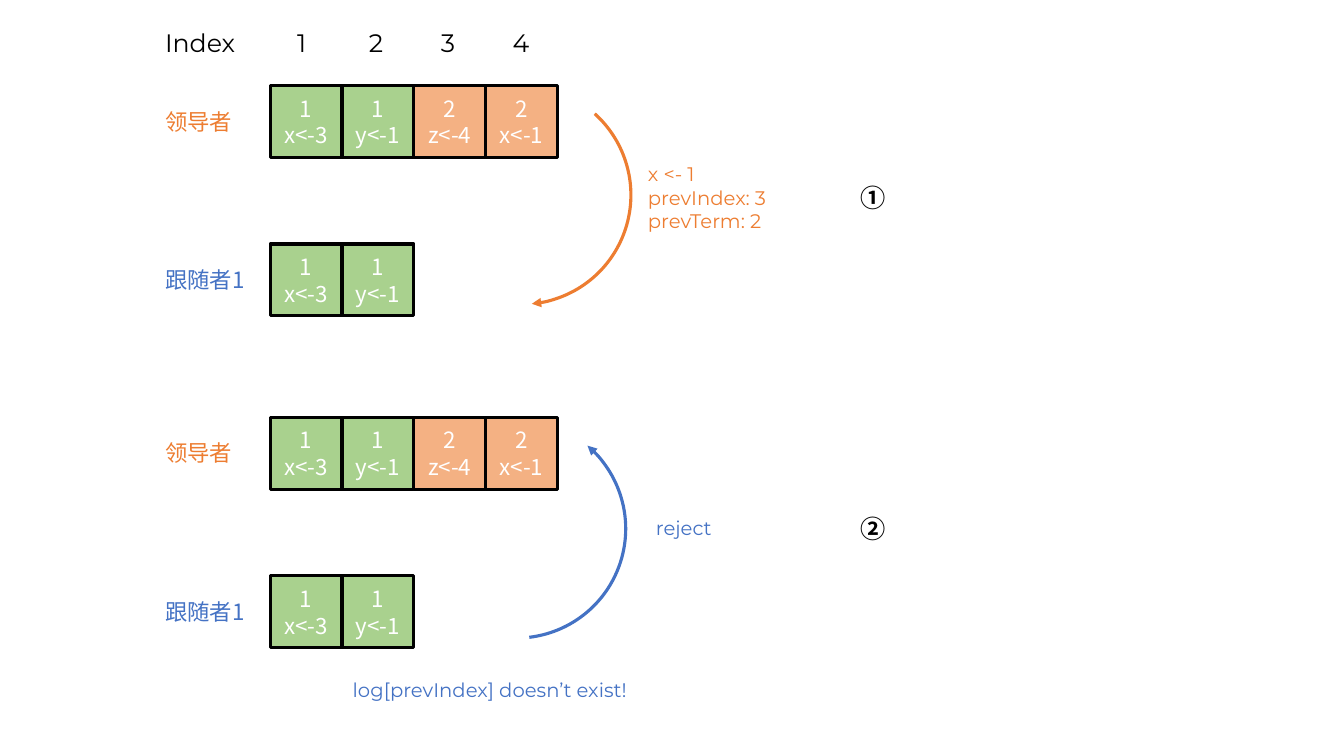
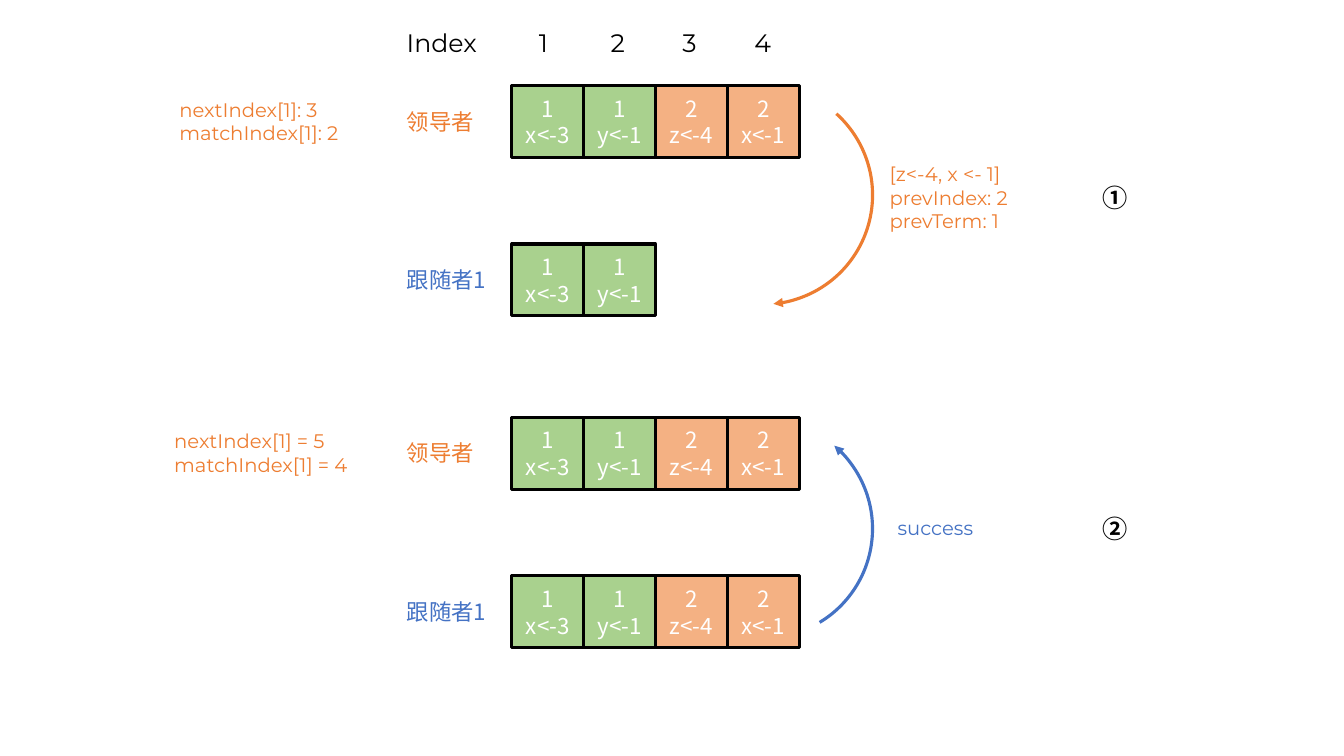
from lxml import etree
from pptx import Presentation
from pptx.dml.color import RGBColor
from pptx.enum.shapes import MSO_SHAPE
from pptx.enum.text import MSO_ANCHOR, MSO_AUTO_SIZE, PP_ALIGN
from pptx.oxml.ns import qn
from pptx.util import Cm, Pt

RECTANGLE, ARC = MSO_SHAPE.RECTANGLE, MSO_SHAPE.ARC
MIDDLE, CENTER, LEFT = MSO_ANCHOR.MIDDLE, PP_ALIGN.CENTER, PP_ALIGN.LEFT
GROW = MSO_AUTO_SIZE.SHAPE_TO_FIT_TEXT

BLACK = RGBColor(0x00, 0x00, 0x00)
WHITE = RGBColor(0xFF, 0xFF, 0xFF)
ORANGE = RGBColor(0xED, 0x7D, 0x31)
BLUE = RGBColor(0x44, 0x72, 0xC4)
TERM_FILLS = {1: RGBColor(0xA9, 0xD1, 0x8E), 2: RGBColor(0xF4, 0xB1, 0x83)}

LATIN, CHINESE = "Montserrat", "Noto Sans CJK SC"
FORMATS = {
    "heading": {"name": LATIN, "size": Pt(18)},
    "message": {"name": LATIN, "size": Pt(14)},
    "label": {"name": CHINESE, "size": Pt(16)},
    "badge": {"name": CHINESE, "size": Pt(18), "bold": True},
}

# Log entries are (term, command) pairs.
FULL_LOG = [(1, "x<-3"), (1, "y<-1"), (2, "z<-4"), (2, "x<-1")]
SHORT_LOG = FULL_LOG[:2]
ROLES = [("领导者", ORANGE), ("跟随者1", BLUE)]
BADGES = ["①", "②"]

# Left, top, rotation and vertical flip of the arc from one log to the other.
REQUEST_ARC = (10.39, 2.16, 42, False)
REPLY_ARC = (10.39, 10.57, 353.2, True)
EARLY_REPLY_ARC = (10.26, 10.57, 353.2, True)
ARC_START, LATE_START, ARC_END = 162, 176.56, 25.58

# Each text is (lines, left, top, width, height, colour).
SLIDES = [
    {
        "shift": 0,
        "logs": [[FULL_LOG, SHORT_LOG], [FULL_LOG, SHORT_LOG]],
        "arcs": [(REQUEST_ARC, ARC_START, ORANGE),
                 (EARLY_REPLY_ARC, ARC_START, BLUE)],
        "texts": [
            (["x <- 1", "prevIndex: 3", "prevTerm: 2"],
             16.08, 3.96, 4.72, 2.06, ORANGE),
            (["reject"], 16.28, 12.88, 2.13, 0.86, BLUE),
            (["log[prevIndex] doesn’t exist!"],
             8.64, 16.97, 8.41, 0.86, BLUE),
        ],
    },
    {
        "shift": 6.09,
        "logs": [[FULL_LOG, SHORT_LOG], [FULL_LOG, FULL_LOG]],
        "arcs": [(REQUEST_ARC, ARC_START, ORANGE),
                 (REPLY_ARC, LATE_START, BLUE)],
        "texts": [
            (["[z<-4, x <- 1]", "prevIndex: 2", "prevTerm: 1"],
             16.08, 3.96, 4.72, 2.06, ORANGE),
            (["success"], 16.28, 12.88, 2.84, 0.86, BLUE),
            (["nextIndex[1]: 3", "matchIndex[1]: 2"],
             -1.82, 2.34, 5.21, 1.45, ORANGE),
            (["nextIndex[1] = 5", "matchIndex[1] = 4"],
             -1.95, 10.69, 5.87, 1.45, ORANGE),
        ],
    },
]

CELL = 1.81
LABEL_LEFT, LOG_LEFT, BADGE_LEFT = 3.91, 6.81, 21.44
HEADING_TOP, LOG_TOP, BADGE_TOP = 0.56, 2.16, 4.47
ROLE_GAP, STEP_GAP, BADGE_GAP = 3.99, 8.36, 8.33
INSET = 0.43
ARC_SIZE = 5.51
LINE_WIDTH = Pt(2.25)


def write_lines(frame, lines, style, color, align=LEFT):
    """Write one paragraph per line in a named format."""
    for number, line in enumerate(lines):
        para = frame.add_paragraph() if number else frame.paragraphs[0]
        para.alignment = align
        span = para.add_run()
        span.text = line
        for name, value in FORMATS[style].items():
            setattr(span.font, name, value)
        span.font.color.rgb = color
        east_asian = etree.SubElement(span.font._element, qn("a:ea"))
        east_asian.set("typeface", FORMATS[style]["name"])


def add_text(page, lines, left, top, width, height, style, color):
    """Add a wrapping text box."""
    box = page.shapes.add_textbox(Cm(left), Cm(top), Cm(width), Cm(height))
    box.text_frame.word_wrap = True
    box.text_frame.auto_size = GROW
    write_lines(box.text_frame, lines, style, color)


def add_outlined(page, kind, left, top, size, color):
    """Add a square-sized preset shape with a line and no shadow."""
    shape = page.shapes.add_shape(kind, Cm(left), Cm(top), Cm(size), Cm(size))
    shape.shadow.inherit = False
    shape.line.color.rgb = color
    shape.line.width = LINE_WIDTH
    return shape


def add_log(page, entries, left, top):
    """Draw a row of log entries coloured by term."""
    for column, (term, command) in enumerate(entries):
        cell = add_outlined(page, RECTANGLE, left + column * CELL, top,
                            CELL, BLACK)
        cell.fill.solid()
        cell.fill.fore_color.rgb = TERM_FILLS[term]
        cell.text_frame.vertical_anchor = MIDDLE
        write_lines(cell.text_frame, [str(term), command], "label", WHITE,
                    CENTER)


def add_arc(page, place, start, color, shift):
    """Draw a curved arrow between two logs."""
    left, top, rotation, flipped = place
    arc = add_outlined(page, ARC, left + shift, top, ARC_SIZE, color)
    arc.fill.background()
    arc.adjustments[0], arc.adjustments[1] = start, ARC_END
    arc.rotation = rotation
    properties = arc.element.spPr
    if flipped:
        properties.find(qn("a:xfrm")).set("flipV", "1")
    arrow = etree.SubElement(properties.find(qn("a:ln")), qn("a:tailEnd"))
    arrow.set("type", "triangle")


def build_page(deck, content):
    """Build one slide showing a request and its reply."""
    page = deck.slides.add_slide(deck.slide_layouts[6])
    shift = content["shift"]
    label_left, log_left = LABEL_LEFT + shift, LOG_LEFT + shift

    add_text(page, ["Index"], label_left, HEADING_TOP, 2.67, 1.02,
             "heading", BLACK)
    for column in range(len(FULL_LOG)):
        add_text(page, [str(column + 1)], log_left + INSET + column * CELL,
                 HEADING_TOP, 0.94, 1.02, "heading", BLACK)

    for step, logs in enumerate(content["logs"]):
        for row, ((role, color), log) in enumerate(zip(ROLES, logs)):
            top = LOG_TOP + step * STEP_GAP + row * ROLE_GAP
            add_log(page, log, log_left, top)
            add_text(page, [role], label_left, top + INSET, 2.9, 0.94,
                     "label", color)
        add_text(page, [BADGES[step]], BADGE_LEFT + shift,
                 BADGE_TOP + step * BADGE_GAP, 1.24, 1.02, "badge", BLACK)

    for place, start, color in content["arcs"]:
        add_arc(page, place, start, color, shift)
    for lines, left, top, width, height, color in content["texts"]:
        add_text(page, lines, left + shift, top, width, height,
                 "message", color)


deck = Presentation()
deck.slide_width, deck.slide_height = Cm(33.87), Cm(19.05)
for content in SLIDES:
    build_page(deck, content)
deck.save("out.pptx")
